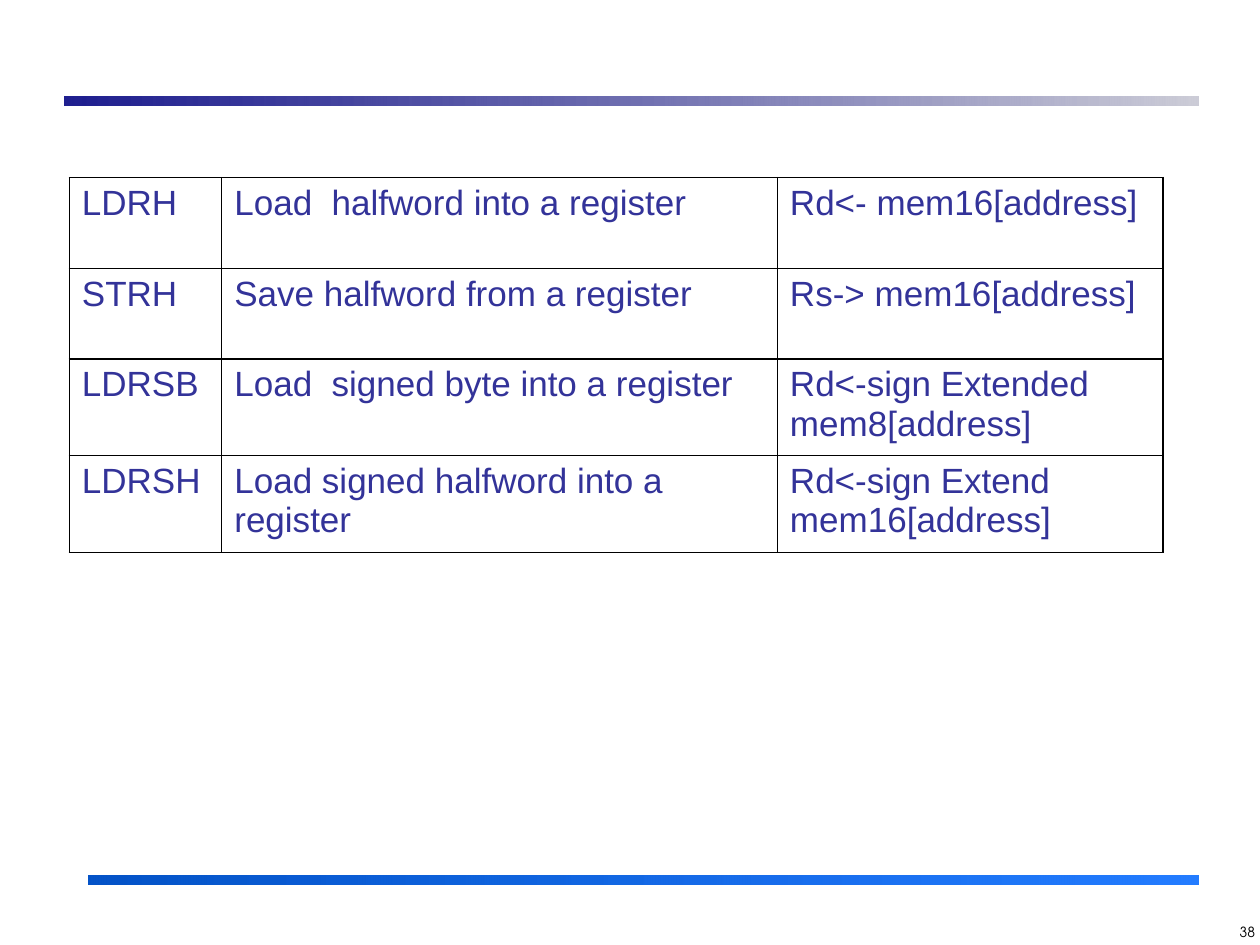
from pptx import Presentation
from pptx.dml.color import RGBColor
from pptx.enum.shapes import MSO_SHAPE as SHAPE
from pptx.enum.text import PP_ALIGN as ALIGN
from pptx.oxml import parse_xml
from pptx.oxml.ns import nsdecls
from pptx.util import Inches, Pt
from lxml import etree


def rgb(value):
    return RGBColor.from_string(value)


prs = Presentation()
prs.slide_width, prs.slide_height = Inches(10), Inches(7.5)
s = prs.slides.add_slide(prs.slide_layouts[6])

# Gradient bars above and below the content: (colour, opacity %) per stop
bars = [
    (0.51, 0.77, 9, [("000080", 88), ("CCCCD7", 100)]),
    (0.7, 6.95, 8.81, [("0453C8", 100), ("056AFF", 88)]),
]
for x, y, w, stops in bars:
    sp = s.shapes.add_shape(SHAPE.RECTANGLE, Inches(x), Inches(y), Inches(w), Inches(0.07))
    sp.shadow.inherit = False
    sp.line.fill.background()
    sp.fill.gradient()
    sp.fill.gradient_angle = 0
    for stop, (color, opacity) in zip(sp.fill.gradient_stops, stops):
        stop.color.rgb = rgb(color)
    for clr, (color, opacity) in zip(sp._element.spPr.xpath(".//a:gs/a:srgbClr"), stops):
        if opacity < 100:
            clr.append(parse_xml(f'<a:alpha {nsdecls("a")} val="{opacity * 1000}"/>'))

# Slide number
sp = s.shapes.add_textbox(Inches(9.62), Inches(7.28), Inches(0.44), Inches(0.31))
sp.text_frame.word_wrap = True
p = sp.text_frame.paragraphs[0]
p.text = "38"
p.alignment = ALIGN.RIGHT
p.font.size, p.font.name = Pt(8), "TeX Gyre Adventor"
p.font.color.rgb = rgb("000000")

# Instruction table
rows = [
    ("LDRH", "Load  halfword into a register", "Rd<- mem16[address]"),
    ("STRH", "Save halfword from a register", "Rs-> mem16[address]"),
    ("LDRSB", "Load  signed byte into a register", "Rd<-sign Extended mem8[address]"),
    ("LDRSH", "Load signed halfword into a register", "Rd<-sign Extend mem16[address]"),
]
widths = [1.21, 4.41, 3.06]
row_height = 0.72
table = s.shapes.add_table(len(rows), len(widths), Inches(0.55), Inches(1.41),
                           Inches(sum(widths)), Inches(row_height * len(rows))).table
table.first_row = table.horz_banding = False
for col, w in zip(table.columns, widths):
    col.width = Inches(w)
for i, texts in enumerate(rows):
    table.rows[i].height = Inches(row_height)
    for j, text in enumerate(texts):
        cell = table.cell(i, j)
        p = cell.text_frame.paragraphs[0]
        p.text = text
        p.font.size, p.font.name = Pt(20), "Arial"
        p.font.color.rgb = rgb("333399")
        # Black 1 pt border on every side, no fill
        tcPr = cell._tc.get_or_add_tcPr()
        for side in ("lnL", "lnR", "lnT", "lnB"):
            tcPr.append(parse_xml(
                f'<a:{side} {nsdecls("a")} w="{Pt(1)}"><a:solidFill>'
                f'<a:srgbClr val="000000"/></a:solidFill></a:{side}>'))
        cell.fill.background()

prs.save("out.pptx")
